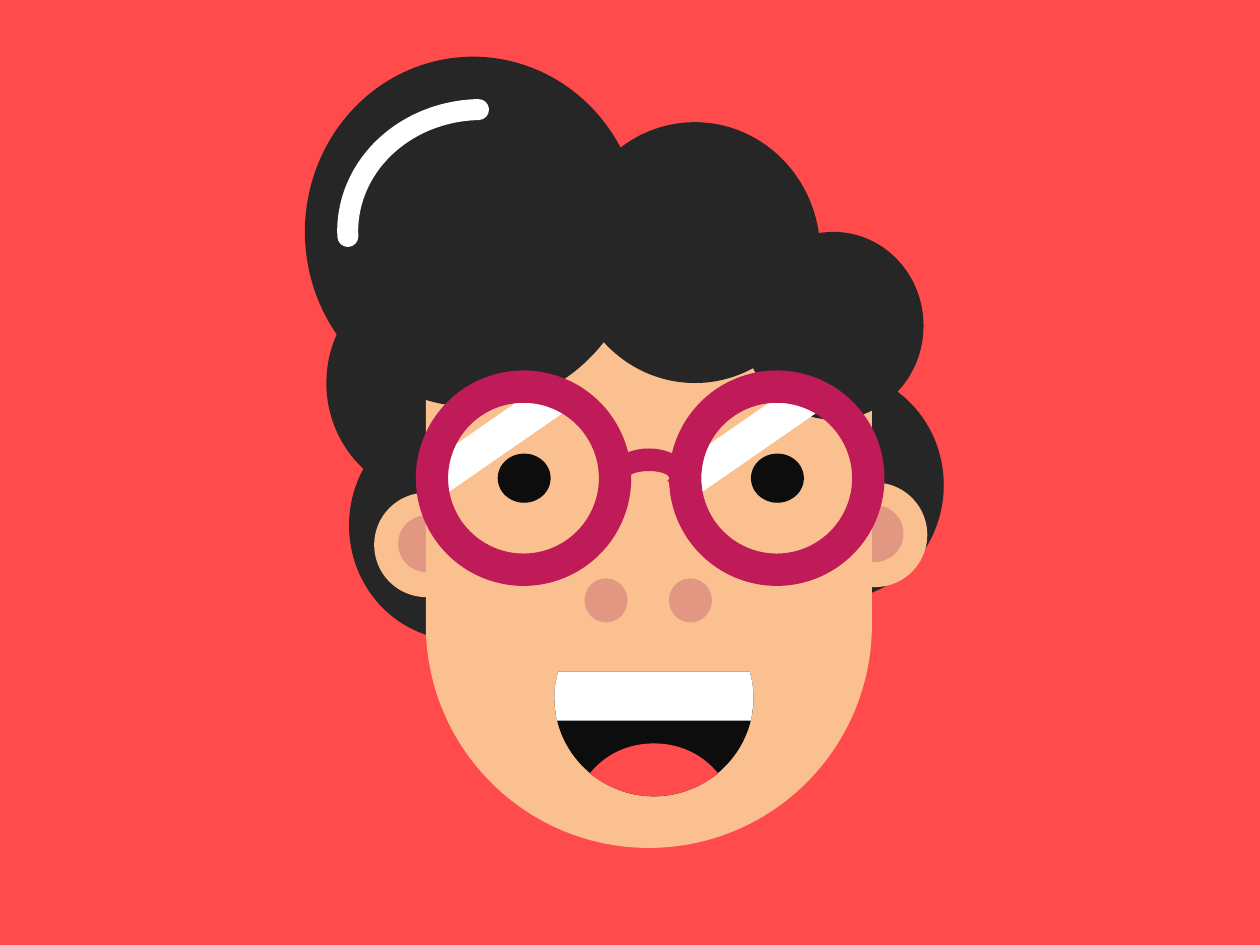
from lxml import etree
from pptx import Presentation
from pptx.dml.color import RGBColor
from pptx.enum.shapes import MSO_SHAPE as Kind
from pptx.oxml.ns import qn
from pptx.util import Inches, Pt

COLS, ROWS = 10, 7.5
RED, HAIR, SKIN, BLUSH = "FF4B4B", "262626", "FAC090", "E29782"
FRAME, WHITE, BLACK = "BF1B59", "FFFFFF", "0D0D0D"
AXIS = 5.19
CHEEK = [(5.95, 5.33), (5.97, 5.4), (5.98, 5.47), (5.98, 5.54)]
CHIN = [(5.98, 5.97), (5.62, 6.32), (AXIS, 6.32)]
TEETH = [(5.98, 5.6), (5.97, 5.66), (5.96, 5.72)]
TONGUE = [(AXIS, 5.9), (5.4, 5.9), (5.58, 5.99), (5.7, 6.14),
          (5.56, 6.25), (5.38, 6.32), (AXIS, 6.32)]


def paint(fill, color):
    fill.solid()
    fill.fore_color.rgb = RGBColor.from_string(color)


def finish(shape, color):
    shape.shadow.inherit = False
    paint(shape.fill, color)
    shape.line.fill.background()


def draw(face, kind, box, color, adjust=(), turn=0):
    shape = face.add_shape(kind, *map(Inches, box))
    finish(shape, color)
    for i, value in enumerate(adjust):
        shape.adjustments[i] = value
    shape.rotation = turn
    return shape


def oval(face, left, top, width, height, color):
    return draw(face, Kind.OVAL, (left, top, width, height), color)


def bend(lines):
    for i in range(0, len(lines), 3):
        first, *rest = lines[i:i + 3]
        cubic = etree.SubElement(first.getparent(), qn("a:cubicBezTo"))
        first.addprevious(cubic)
        for line in (first, *rest):
            cubic.append(line[0])
            line.getparent().remove(line)


def mirror(face, half, color):
    joined = half[-1][0] == AXIS
    other = [(2 * AXIS - x, y) for x, y in reversed(half)]
    points = half + other[joined:]
    spots = [(Inches(x), Inches(y)) for x, y in points]
    pen = face.build_freeform(*spots[0], scale=1)
    pen.add_line_segments(spots[1:], close=True)
    shape = pen.convert_to_shape()
    finish(shape, color)
    lines = list(shape.element.iter(qn("a:lnTo")))
    count = len(half) - 1
    bend(lines[:count])
    bend(lines[count + (not joined):count * 2 + (not joined)])


def ear(face, left, top):
    oval(face, left, top, 0.83, 0.83, SKIN)
    oval(face, left + 0.19, top + 0.18, 0.45, 0.45, BLUSH)


def lens(face, left):
    draw(face, Kind.RECTANGLE, (left, 3.33, 1.29, 0.28), WHITE, turn=325.3)
    draw(face, Kind.DONUT, (left, 2.94, 1.71, 1.71), FRAME, [0.15])
    oval(face, left + 0.65, 3.6, 0.42, 0.39, BLACK)


def mouth(face):
    mirror(face, CHEEK + CHIN, BLACK)
    mirror(face, CHEEK + TEETH, WHITE)
    mirror(face, TONGUE, RED)


def shine(face):
    arc = draw(face, Kind.ARC, (2.76, 0.87, 2.12, 1.93), WHITE, [106.63, 161.21])
    arc.fill.background()
    paint(arc.line.fill, WHITE)
    arc.line.width = Pt(12)
    arc.element.spPr.find(qn("a:ln")).set("cap", "rnd")


def main():
    deck = Presentation()
    deck.slide_width, deck.slide_height = Inches(COLS), Inches(ROWS)
    slide = deck.slides.add_slide(deck.slide_layouts[6])
    paint(slide.background.fill, RED)
    face = slide.shapes.add_group_shape().shapes

    for left, top in ((2.77, 3.26), (2.59, 2.13), (5.74, 2.94)):
        oval(face, left, top, 1.75, 1.82, HAIR)
    for left, top in ((2.97, 3.91), (6.53, 3.83)):
        ear(face, left, top)
    draw(face, Kind.ROUNDED_RECTANGLE, (3.38, 1.43, 3.54, 5.3), SKIN, [0.5])
    for curl in ((2.42, 0.45, 2.67, 2.78), (4.52, 0.97, 1.99, 2.07),
                 (5.9, 1.84, 1.43, 1.49)):
        oval(face, *curl, HAIR)
    draw(face, Kind.BLOCK_ARC, (4.81, 3.56, 0.68, 0.47), FRAME,
         [105.84, 6.06, 0.38])
    for left in (3.3, 5.31):
        lens(face, left)
    mouth(face)
    for left in (4.64, 5.31):
        oval(face, left, 4.59, 0.34, 0.35, BLUSH)
    shine(face)
    deck.save("out.pptx")


main()
